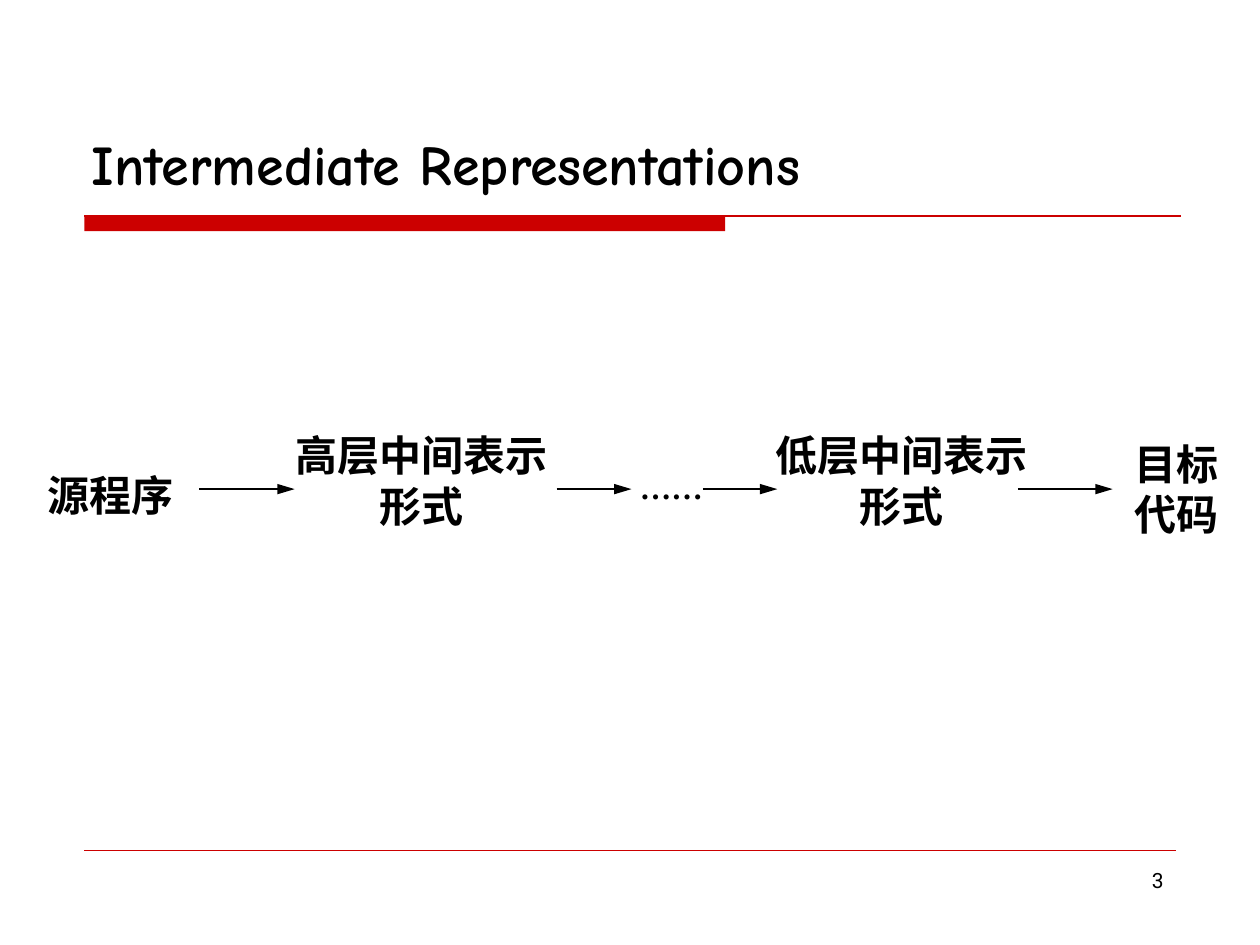
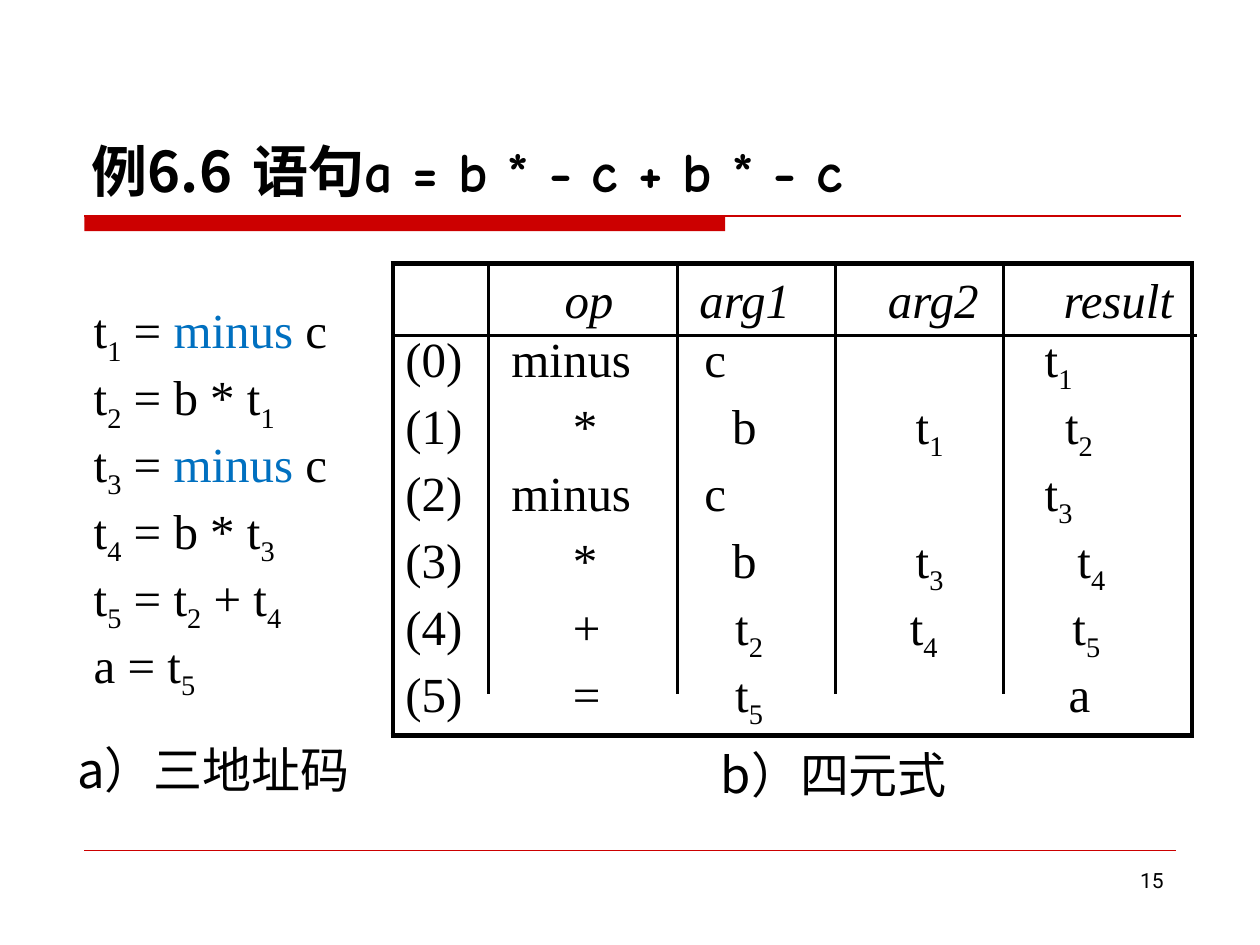
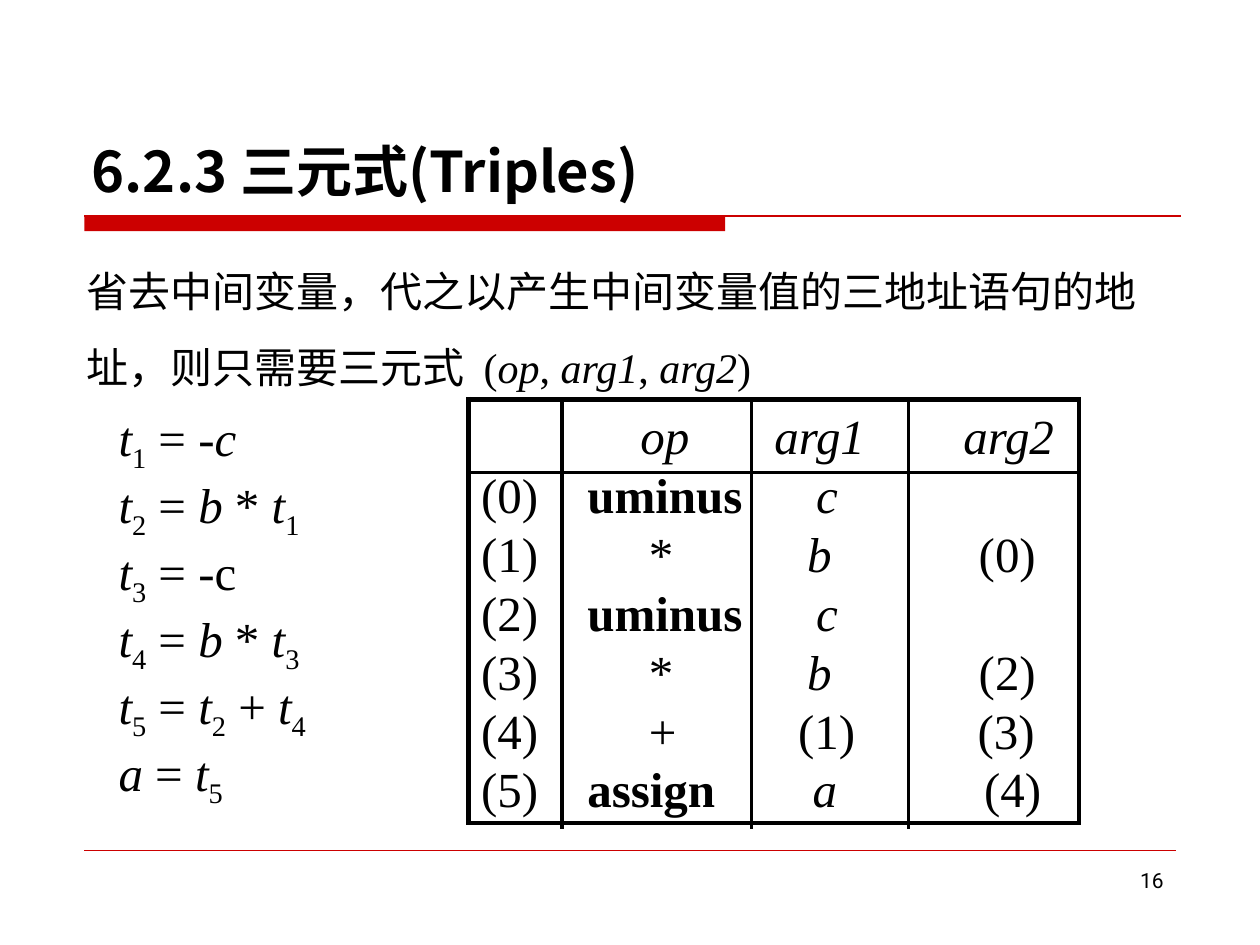
import pptx
import pptx.dml.color
import pptx.enum.shapes
import pptx.enum.text
import pptx.oxml
import pptx.oxml.ns
import pptx.util
from pptx.util import Cm, Pt

ALIGN = pptx.enum.text.PP_ALIGN
ANCHOR = pptx.enum.text.MSO_ANCHOR
BLACK, RED, BLUE = "000000", "CC0000", "0070C0"
COMIC, NOTO, SERIF, ROBOTO = "Comic Neue", "Noto Sans CJK SC", "Times New Roman", "Roboto"
FRAME_PT, RULE_PT = 3, 1.75

# Markup in texts: /italic/, !bold!, |blue|, and _ before a subscript character.
TOGGLES = {"/": "italic", "!": "bold", "|": "blue"}

# Stages: text, left, top, width, height in cm.
STAGES = [
    ("源程序", 0.3, 9.34, 3.86, 1.27),
    ("高层中间表示形式", 5.3, 8.54, 6.4, 2.29),
    ("低层中间表示形式", 14.97, 8.54, 6.4, 2.29),
    ("目标代码", 22.34, 8.71, 2.74, 2.29),
]
ARROW_Y = 9.86
ARROWS = [(4.02, 5.94), (11.22, 12.73), (14.17, 15.67), (20.52, 22.43)]

THREE_ADDRESS_CODE = ["t_1 = |minus| c", "t_2 = b * t_1", "t_3 = |minus| c",
                      "t_4 = b * t_3", "t_5 = t_2 + t_4", "a = t_5"]
TRIPLE_SOURCE = ["/t/_1 = -/c/", "/t/_2 = /b/ * /t/_1", "/t/_3 = -c",
                 "/t/_4 = /b/ * /t/_3", "/t/_5 = /t/_2 + /t/_4", "/a/ = /t/_5"]

# Table cells: text and its indent from the column edge in cm.
EMPTY = ("", 0)
QUADRUPLES = [
    [EMPTY, ("/op/", 1.53), ("/arg1/", 0.44), ("/arg2/", 1.06), ("/result/", 1.22)],
    [("(0)", 0.25), ("minus", 0.46), ("c", 0.54), EMPTY, ("t_1", 0.84)],
    [("(1)", 0.25), ("*", 1.7), ("b", 1.1), ("t_1", 1.62), ("t_2", 1.25)],
    [("(2)", 0.25), ("minus", 0.46), ("c", 0.54), EMPTY, ("t_3", 0.84)],
    [("(3)", 0.25), ("*", 1.7), ("b", 1.1), ("t_3", 1.62), ("t_4", 1.5)],
    [("(4)", 0.25), ("+", 1.7), ("t_2", 1.16), ("t_4", 1.5), ("t_5", 1.4)],
    [("(5)", 0.25), ("=", 1.7), ("t_5", 1.16), EMPTY, ("a", 1.32)],
]
TRIPLES = [
    [EMPTY, ("/op/", 1.58), ("/arg1/", 0.47), ("/arg2/", 1.1)],
    [("(0)", 0.25), ("!uminus!", 0.51), ("/c/", 1.31), EMPTY],
    [("(1)", 0.25), ("*", 1.75), ("/b/", 1.13), ("(0)", 1.41)],
    [("(2)", 0.25), ("!uminus!", 0.51), ("/c/", 1.31), EMPTY],
    [("(3)", 0.25), ("*", 1.75), ("/b/", 1.13), ("(2)", 1.41)],
    [("(4)", 0.25), ("+", 1.75), ("(1)", 0.95), ("(3)", 1.39)],
    [("(5)", 0.25), ("!assign!", 0.51), ("/a/", 1.24), ("(4)", 1.52)],
]


def rgb(value):
    return pptx.dml.color.RGBColor.from_string(value)


def sub_element(parent, tag, **attributes):
    element = pptx.oxml.parse_xml(f"<{tag} {pptx.oxml.ns.nsdecls('a')}/>")
    for name, value in attributes.items():
        element.set(name, str(value))
    parent.append(element)
    return element


def split_markup(text):
    """Yield (chunk, set of styles) for a marked-up text."""
    chunk, styles, subscript = "", set(), False
    for char in text:
        if subscript:
            yield char, styles | {"subscript"}
            subscript = False
        elif char in TOGGLES or char == "_":
            if chunk:
                yield chunk, set(styles)
            chunk = ""
            if char == "_":
                subscript = True
            else:
                styles ^= {TOGGLES[char]}
        else:
            chunk += char
    if chunk:
        yield chunk, styles


def write(para, text, font=SERIF, size=28, bold=False):
    for chunk, styles in split_markup(text):
        span = para.add_run()
        span.text = chunk
        span.font.size = Pt(size)
        span.font.bold = bold or "bold" in styles
        span.font.italic = "italic" in styles
        span.font.color.rgb = rgb(BLUE if "blue" in styles else BLACK)
        span.font.name = font
        properties = span.font._element
        sub_element(properties, "a:ea", typeface=NOTO)
        if "subscript" in styles:
            properties.set("baseline", "-25000")


def add_text(page, lines, left, top, width, height, align=ALIGN.LEFT,
             anchor=ANCHOR.TOP, wrap=True, spacing=None, **style):
    """Add a text box; each line is a text or a list of (text, font)."""
    box = page.shapes.add_textbox(Cm(left), Cm(top), Cm(width), Cm(height))
    frame = box.text_frame
    frame.word_wrap = wrap
    frame.vertical_anchor = anchor
    for index, line in enumerate(lines):
        para = frame.paragraphs[0] if index == 0 else frame.add_paragraph()
        para.alignment = align
        if spacing:
            para.line_spacing = spacing
        if isinstance(line, str):
            write(para, line, **style)
        else:
            for text, font in line:
                write(para, text, font=font, **style)


def add_line(page, x1, y1, x2, y2, color=BLACK, width=0.75, arrow=False):
    line = page.shapes.add_connector(pptx.enum.shapes.MSO_CONNECTOR.STRAIGHT,
                                     Cm(x1), Cm(y1), Cm(x2), Cm(y2))
    line.line.color.rgb = rgb(color)
    line.line.width = Pt(width)
    if arrow:
        sub_element(line.line._get_or_add_ln(), "a:tailEnd", type="triangle", w="med", len="lg")
    sub_element(line._element.spPr, "a:effectLst")


def set_border(cell, side, visible):
    border = sub_element(cell._tc.get_or_add_tcPr(), f"a:ln{side}",
                         w=Pt(FRAME_PT) if visible else 0)
    if visible:
        fill = sub_element(border, "a:solidFill")
        sub_element(fill, "a:srgbClr", val=BLACK)
    else:
        sub_element(border, "a:noFill")


def add_code_table(page, rows, left, top, widths, header_height, row_height,
                   rule_y, rule_right, rule_bottom):
    """Add a framed table, a rule under its header and rules between its columns."""
    heights = [header_height] + [row_height] * (len(rows) - 1)
    table = page.shapes.add_table(len(rows), len(widths), Cm(left), Cm(top),
                                  Cm(sum(widths)), Cm(sum(heights))).table
    table.first_row = table.horz_banding = False
    for column, width in zip(table.columns, widths):
        column.width = Cm(width)
    last_row, last_column = len(rows) - 1, len(widths) - 1
    for r, row in enumerate(rows):
        table.rows[r].height = Cm(heights[r])
        for c, (text, indent) in enumerate(row):
            cell = table.cell(r, c)
            cell.margin_left = Cm(indent)
            cell.margin_top = Cm(0.23 if r == 0 else 0)
            cell.margin_right = cell.margin_bottom = 0
            set_border(cell, "L", c == 0)
            set_border(cell, "R", c == last_column)
            set_border(cell, "T", r == 0)
            set_border(cell, "B", r == last_row)
            cell.fill.background()
            write(cell.text_frame.paragraphs[0], text)
    add_line(page, left, rule_y, rule_right, rule_y, width=RULE_PT)
    for column in range(1, len(widths)):
        x = left + sum(widths[:column])
        add_line(page, x, top, x, rule_bottom, width=RULE_PT)


def add_page(deck, title, number, title_top=0.86):
    """Add a page with the shared title, red band, footer line and number."""
    page = deck.slides.add_slide(deck.slide_layouts[6])
    band = page.shapes.add_shape(pptx.enum.shapes.MSO_SHAPE.RECTANGLE,
                                 Cm(1.7), Cm(4.34), Cm(12.92), Cm(0.32))
    band.shadow.inherit = False
    band.fill.solid()
    band.fill.fore_color.rgb = rgb(RED)
    band.line.fill.background()
    add_line(page, 1.7, 4.35, 23.8, 4.35, color=RED, width=1.25)
    add_line(page, 1.7, 17.15, 23.7, 17.15, color=RED, width=0.25)
    add_text(page, [number], 18.21, 17.36, 5.5, 1.32, align=ALIGN.RIGHT, font=ROBOTO, size=12)
    add_text(page, [title], 1.6, title_top, 22.23, 3.38, anchor=ANCHOR.BOTTOM, size=32, bold=True)
    return page


def build_representations(deck):
    page = add_page(deck, [("Intermediate Representations", COMIC)], "3", title_top=0.71)
    for text, *place in STAGES:
        add_text(page, [text], *place, align=ALIGN.CENTER, font=NOTO, size=24, bold=True)
    for start, end in ARROWS:
        add_line(page, start, ARROW_Y, end, ARROW_Y, arrow=True)
    add_text(page, ["……"], 12.65, 9.32, 1.78, 1.02, wrap=False, size=18, bold=True)


def build_quadruples(deck):
    title = [("例", COMIC), ("6.6", NOTO), (" 语句a = b * - c + b * - c", COMIC)]
    page = add_page(deck, title, "15")
    add_code_table(page, QUADRUPLES, 7.92, 5.31, [1.93, 3.81, 3.18, 3.38, 3.81], 1.41, 1.35,
                   rule_y=6.76, rule_right=24.13, rule_bottom=14)
    add_text(page, THREE_ADDRESS_CODE, 1.64, 5.92, 5.21, 8.36, wrap=False)
    for caption, left, top in [("a）三地址码", 0.3, 14.76), ("b）四元式", 12.81, 14.86)]:
        add_text(page, [caption], left, top, 8, 1.45, align=ALIGN.CENTER,
                 anchor=ANCHOR.BOTTOM, wrap=False, font=NOTO)


def build_triples(deck):
    page = add_page(deck, [("6.2.3 三元式(Triples)", NOTO)], "16")
    summary = "省去中间变量，代之以产生中间变量值的三地址语句的地址，则只需要三元式  (/op/, /arg1/, /arg2/)"
    add_text(page, [summary], 1.5, 4.72, 21.9, 3.3, spacing=1.5, size=24)
    add_code_table(page, TRIPLES, 9.45, 8.05, [1.88, 3.81, 3.18, 3.43], 1.42, 1.18,
                   rule_y=9.53, rule_right=21.72, rule_bottom=16.71)
    add_text(page, TRIPLE_SOURCE, 2.14, 8.09, 4.29, 8.36, wrap=False)


def main():
    deck = pptx.Presentation()
    deck.slide_width, deck.slide_height = Cm(25.4), Cm(19.05)
    build_representations(deck)
    build_quadruples(deck)
    build_triples(deck)
    deck.save("out.pptx")


if __name__ == "__main__":
    main()
